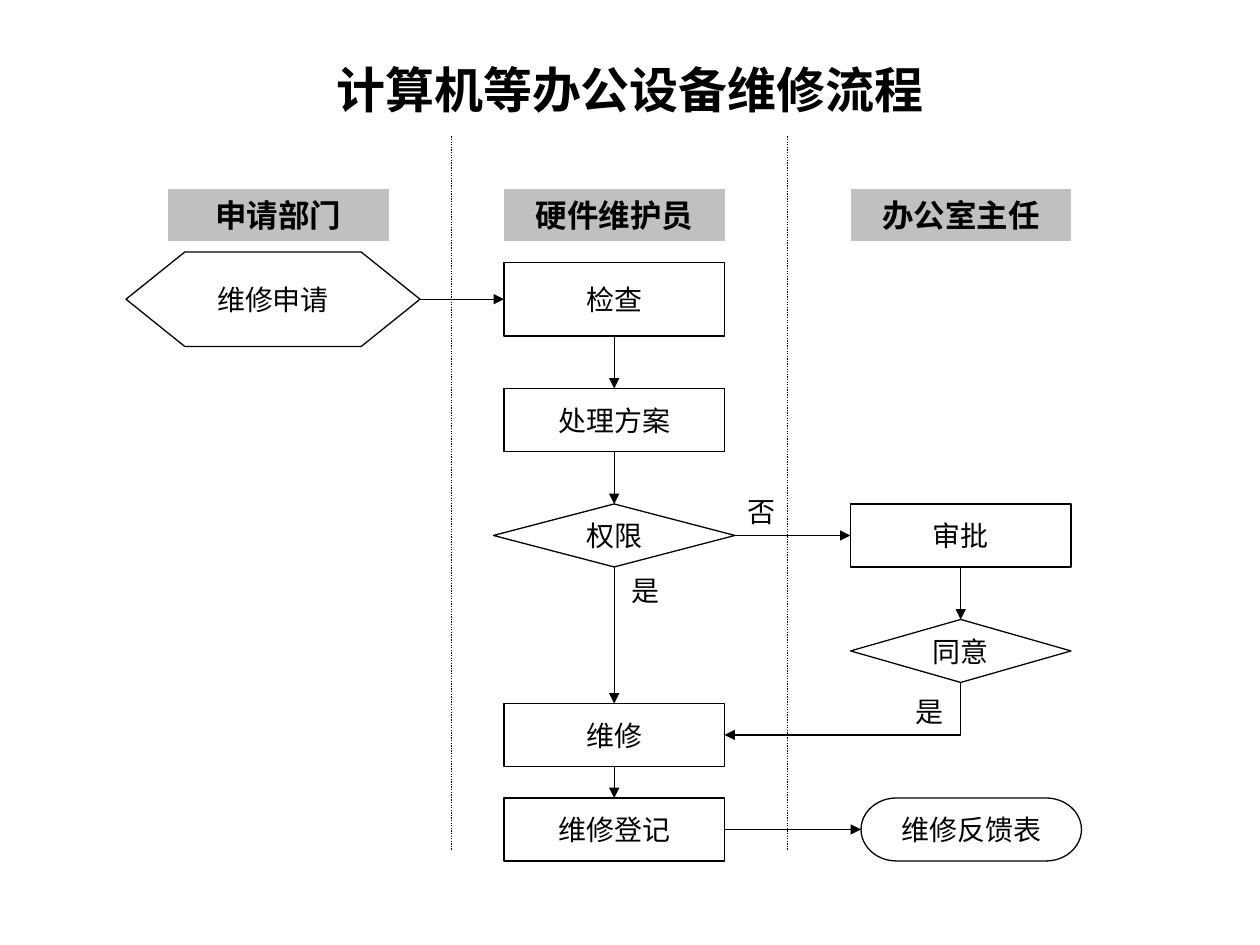
from lxml import etree
from pptx import Presentation, util as u
from pptx.dml.color import RGBColor
from pptx.enum import dml, shapes, text
from pptx.oxml.ns import qn

COLORS = {"ink": "000000", "header": "C0C0C0"}
FONT = "Times New Roman"
COLUMNS, ROWS = 120, 90  # one grid cell is 1/12 inch
TOP, LEFT, BOTTOM, RIGHT = range(4)
Kind = shapes.MSO_SHAPE


def write(shape, words, size=16, bold=False, align=text.PP_ALIGN.CENTER,
          anchor=text.MSO_ANCHOR.MIDDLE):
    frame = shape.text_frame
    frame.word_wrap = True
    frame.vertical_anchor = anchor
    paragraph = frame.paragraphs[0]
    paragraph.text = words
    paragraph.alignment = align
    font = paragraph.font
    font.size, font.bold, font.name = u.Pt(size), bold, FONT
    font.color.rgb = RGBColor.from_string(COLORS["ink"])


class FlowSlide:
    def __init__(self, presentation):
        self.slide = presentation.slides.add_slide(presentation.slide_layouts[6])
        self.cell_width = presentation.slide_width / COLUMNS
        self.cell_height = presentation.slide_height / ROWS

    def place(self, column, row, width, height):
        return (round(column * self.cell_width), round(row * self.cell_height),
                round(width * self.cell_width), round(height * self.cell_height))

    def label(self, words, column, row, width, height, **style):
        box = self.slide.shapes.add_textbox(*self.place(column, row, width, height))
        write(box, words, **style)
        return box

    def node(self, words, column, row, width=21, height=6,
             kind=Kind.FLOWCHART_PROCESS, fill=None, **style):
        shape = self.slide.shapes.add_shape(kind, *self.place(column, row, width, height))
        shape.shadow.inherit = False
        if fill:
            shape.fill.solid()
            shape.fill.fore_color.rgb = RGBColor.from_string(COLORS[fill])
            shape.line.fill.background()
        else:
            shape.fill.background()
            self.outline(shape.line)
        write(shape, words, **style)
        return shape

    def outline(self, line):
        line.color.rgb = RGBColor.from_string(COLORS["ink"])
        line.width = u.Pt(0.75)

    def connector(self, kind, start, end, arrow=True):
        line = self.slide.shapes.add_connector(kind, *self.place(*start, *end))
        self.outline(line.line)
        etree.SubElement(line._element.spPr, qn("a:effectLst"))
        if arrow:
            etree.SubElement(line.line._get_or_add_ln(), qn("a:tailEnd"), type="triangle")
        return line

    def divider(self, column, first_row, last_row):
        line = self.connector(shapes.MSO_CONNECTOR.STRAIGHT, (column, first_row),
                              (column, last_row), arrow=False)
        line.line.dash_style = dml.MSO_LINE.ROUND_DOT

    def arrow(self, source, source_side, target, target_side):
        line = self.connector(shapes.MSO_CONNECTOR.STRAIGHT, (0, 0), (0, 0))
        line.begin_connect(source, source_side)
        line.end_connect(target, target_side)

    def corner_arrow(self, start, end):
        """Go down from start, then left to end: a one-bend connector turned by 90 degrees."""
        across, down = start[0] - end[0], end[1] - start[1]
        middle_column, middle_row = (start[0] + end[0]) / 2, (start[1] + end[1]) / 2
        column, row = middle_column - down / 2, middle_row - across / 2
        line = self.connector(shapes.MSO_CONNECTOR.ELBOW, (column, row),
                              (column + down, row + across))
        line._element.spPr.find(qn("a:prstGeom")).set("prst", "bentConnector2")
        line.rotation = 90


def main():
    presentation = Presentation()
    presentation.slide_width, presentation.slide_height = u.Inches(10), u.Inches(7.5)
    flow = FlowSlide(presentation)

    # Title, lane headers and lane dividers
    flow.label("计算机等办公设备维修流程", 9, 4, 102, 9, size=28, bold=True)
    for words, column in (("申请部门", 16), ("硬件维护员", 48), ("办公室主任", 81)):
        flow.node(words, column, 18, height=5, fill="header", size=18, bold=True)
    for column in (43, 75):
        flow.divider(column, 13, 81)

    # Steps, lane by lane
    request = flow.node("维修申请", 12, 24, 28, 9, Kind.FLOWCHART_PREPARATION)
    check = flow.node("检查", 48, 25, height=7)
    plan = flow.node("处理方案", 48, 37)
    authority = flow.node("权限", 47, 48, 23, kind=Kind.FLOWCHART_DECISION)
    repair = flow.node("维修", 48, 67)
    record = flow.node("维修登记", 48, 76)
    approval = flow.node("审批", 81, 48)
    consent = flow.node("同意", 81, 59, kind=Kind.FLOWCHART_DECISION)
    feedback = flow.node("维修反馈表", 82, 76, kind=Kind.FLOWCHART_TERMINATOR)

    # Arrows within lanes, then across lanes
    for source, target in ((check, plan), (plan, authority), (authority, repair),
                           (repair, record), (approval, consent)):
        flow.arrow(source, BOTTOM, target, TOP)
    for source, target in ((request, check), (authority, approval), (record, feedback)):
        flow.arrow(source, RIGHT, target, LEFT)
    flow.corner_arrow((91.5, 65), (69, 70))

    # Decision answers
    for words, column, row, width in (("是", 59, 54, 6), ("是", 86, 65.6, 7),
                                      ("否", 70, 46.5, 6)):
        answer = flow.label(words, column, row, width, 4.4, align=text.PP_ALIGN.LEFT,
                            anchor=text.MSO_ANCHOR.TOP)
        answer.text_frame.auto_size = text.MSO_AUTO_SIZE.SHAPE_TO_FIT_TEXT

    presentation.save("out.pptx")


if __name__ == "__main__":
    main()
